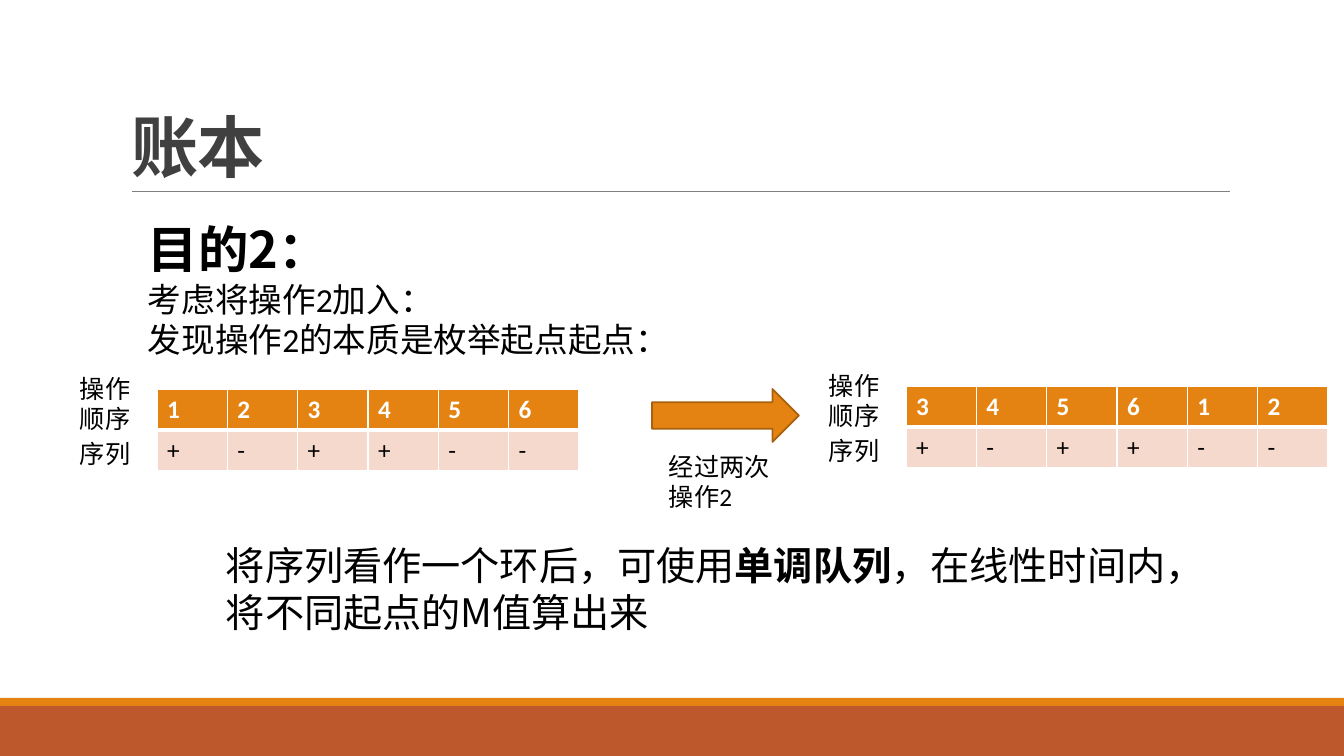
"""Build the ledger slide on rotating a sequence with operation 2."""
import pptx
import pptx.util
import pptx.dml.color
import pptx.enum.shapes
import pptx.enum.text
import pptx.oxml
import pptx.oxml.ns

PX = 914400 / 100.8
CJK = "Noto Sans CJK SC"
LATIN = "Calibri"
COLORS = {
    "rust": "BD582C", "orange": "E48312", "arrow_line": "A9610D", "rule": "808080",
    "title": "404040", "text": "000000", "white": "FFFFFF", "pale": "F5D9CC",
}

TITLE = "账本"
BANDS = [("rust", (0, 706, 1344, 50)), ("orange", (0, 698, 1344, 8))]
RULE = (132, 191, 1230, 191)
ARROW = (652, 389, 147, 53)

# Each run is (text, size, latin font, bold).
TEXTS = [
    ((138, 213, 1092, 152), [
        [("目的2：", 36, CJK, True)],
        [("考虑将操作2加入：", 24, LATIN, False)],
        [("发现操作2的本质是枚举起点起点：", 24, LATIN, False)],
    ]),
    ((659, 446, 134, 71), [[("经过两次操作2", 18, LATIN, False)]]),
    ((216, 536, 969, 105), [[
        ("将序列看作一个环后，可使用", 28, CJK, False),
        ("单调队列", 28, CJK, True),
        ("，在线性时间内，将不同起点的M值算出来", 28, CJK, False),
    ]]),
]
SEQUENCES = [
    ((157, 389), ["123456", "+-++--"]),
    ((906, 386), ["345612", "+-++--"]),
]
ROW_LABELS = [("操作顺序", -21, 72), ("序列", 44, 40)]
LABEL_WIDTH = 87
TABLE_WIDTH, ROW_HEIGHT = 422, 41


def px(*lengths):
    return [pptx.util.Emu(round(length * PX)) for length in lengths]


def rgb(name):
    return pptx.dml.color.RGBColor.from_string(COLORS[name])


def add_run(paragraph, text, size, font, bold, color="text"):
    run = paragraph.add_run()
    run.text = text
    run.font.size = pptx.util.Pt(size)
    run.font.bold = bold
    run.font.name = font
    run.font.color.rgb = rgb(color)
    properties = run.font._element
    east_asian = pptx.oxml.ns.qn("a:ea")
    properties.find(pptx.oxml.ns.qn("a:latin")).addnext(
        properties.makeelement(east_asian, {"typeface": CJK}))
    return run


def add_text(slide, box, paragraphs):
    frame = slide.shapes.add_textbox(*px(*box)).text_frame
    frame.word_wrap = True
    for index, runs in enumerate(paragraphs):
        paragraph = frame.add_paragraph() if index else frame.paragraphs[0]
        for run in runs:
            add_run(paragraph, *run)


def add_filled(slide, kind, box, color):
    shape = slide.shapes.add_shape(kind, *px(*box))
    shape.shadow.inherit = False
    shape.fill.solid()
    shape.fill.fore_color.rgb = rgb(color)
    shape.line.fill.background()
    return shape


def set_borders(cell, bottom):
    properties = cell._tc.get_or_add_tcPr()
    for index, (side, points) in enumerate([("L", 1), ("R", 1), ("T", 1), ("B", bottom)]):
        properties.insert(index, pptx.oxml.parse_xml(
            f'<a:ln{side} {pptx.oxml.ns.nsdecls("a")} w="{points * 12700}">'
            f'<a:solidFill><a:srgbClr val="{COLORS["white"]}"/></a:solidFill></a:ln{side}>'))


def add_sequence(slide, left, top, rows):
    columns = len(rows[0])
    table = slide.shapes.add_table(
        len(rows), columns, *px(left, top, TABLE_WIDTH, ROW_HEIGHT * len(rows))).table
    table.first_row = table.horz_banding = False
    for column in table.columns:
        column.width = px(TABLE_WIDTH / columns)[0]
    for row_index, values in enumerate(rows):
        header = row_index == 0
        table.rows[row_index].height = px(ROW_HEIGHT)[0]
        for column_index, value in enumerate(values):
            cell = table.cell(row_index, column_index)
            cell.fill.solid()
            cell.fill.fore_color.rgb = rgb("orange" if header else "pale")
            set_borders(cell, 3 if header else 1)
            add_run(cell.text_frame.paragraphs[0], value, 18, LATIN, header,
                    "white" if header else "text")
    for label, offset, height in ROW_LABELS:
        add_text(slide, (left - LABEL_WIDTH, top + offset, LABEL_WIDTH, height),
                 [[(label, 18, LATIN, False)]])


def add_title(slide):
    title = slide.shapes.title
    title.left, title.top, title.width, title.height = px(121, 31, 1109, 160)
    frame = title.text_frame
    frame.word_wrap = True
    frame.auto_size = pptx.enum.text.MSO_AUTO_SIZE.NONE
    frame.vertical_anchor = pptx.enum.text.MSO_ANCHOR.BOTTOM
    paragraph = frame.paragraphs[0]
    paragraph.alignment = pptx.enum.text.PP_ALIGN.LEFT
    paragraph.line_spacing = 0.85
    run = add_run(paragraph, TITLE, 48, CJK, True, "title")
    run.font._element.set("spc", "-50")


def main():
    presentation = pptx.Presentation()
    presentation.slide_width, presentation.slide_height = px(1344, 756)
    slide = presentation.slides.add_slide(presentation.slide_layouts[5])
    shapes = pptx.enum.shapes.MSO_SHAPE
    for color, box in BANDS:
        add_filled(slide, shapes.RECTANGLE, box, color)
    rule = slide.shapes.add_connector(pptx.enum.shapes.MSO_CONNECTOR.STRAIGHT, *px(*RULE))
    rule.line.color.rgb = rgb("rule")
    rule.line.width = pptx.util.Pt(0.5)
    rule_properties = rule._element.spPr
    rule_properties.append(rule_properties.makeelement(pptx.oxml.ns.qn("a:effectLst"), {}))
    add_title(slide)
    for box, paragraphs in TEXTS:
        add_text(slide, box, paragraphs)
    for (left, top), rows in SEQUENCES:
        add_sequence(slide, left, top, rows)
    arrow = add_filled(slide, shapes.RIGHT_ARROW, ARROW, "orange")
    arrow.line.color.rgb = rgb("arrow_line")
    arrow.line.width = pptx.util.Pt(1.25)
    presentation.save("out.pptx")


if __name__ == "__main__":
    main()
